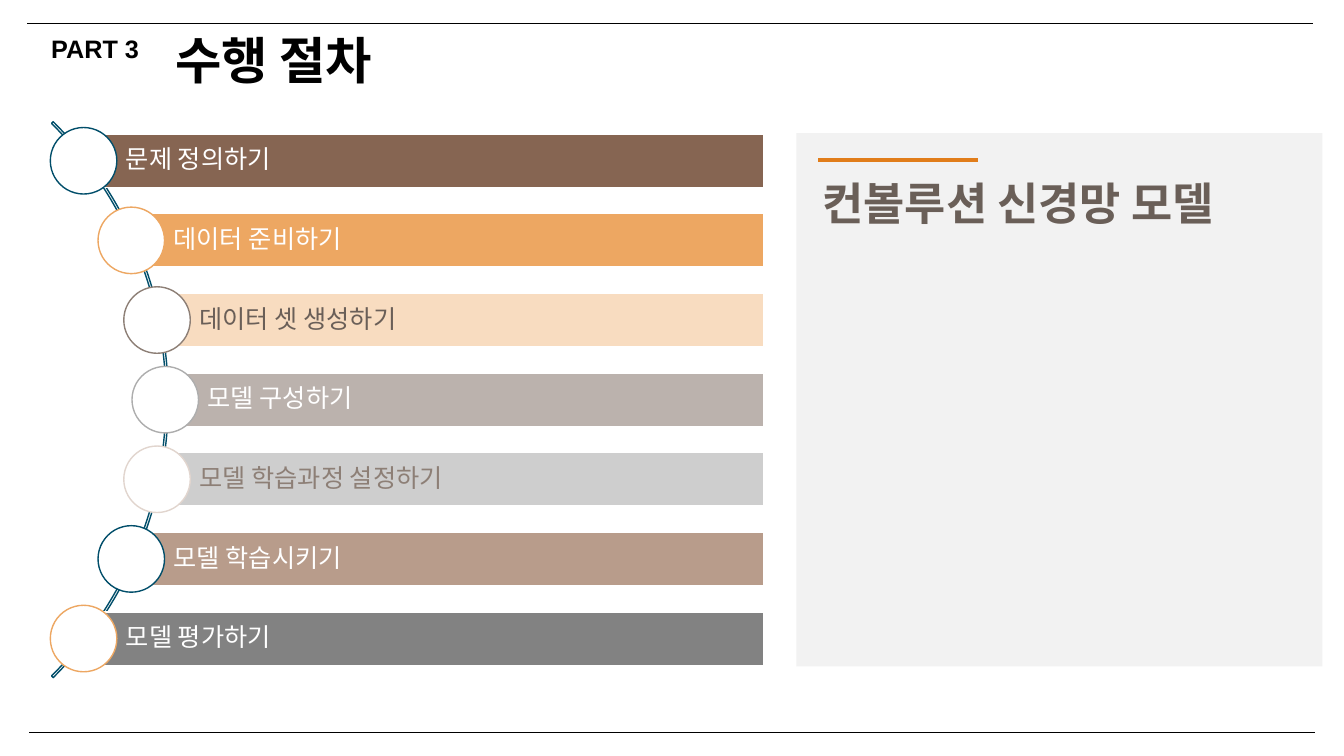
from dataclasses import dataclass
from math import sqrt

from lxml import etree
from pptx import Presentation
from pptx.dml.color import RGBColor
from pptx.enum.shapes import MSO_CONNECTOR, MSO_SHAPE
from pptx.enum.text import MSO_ANCHOR, MSO_AUTO_SIZE, PP_ALIGN
from pptx.oxml.ns import qn
from pptx.util import Pt

STRAIGHT = MSO_CONNECTOR.STRAIGHT
RECTANGLE, OVAL, ARC = MSO_SHAPE.RECTANGLE, MSO_SHAPE.OVAL, MSO_SHAPE.BLOCK_ARC
MIDDLE, TOP = MSO_ANCHOR.MIDDLE, MSO_ANCHOR.TOP
LEFT = PP_ALIGN.LEFT
GROW = MSO_AUTO_SIZE.SHAPE_TO_FIT_TEXT

LATIN, KOREAN = "Arial", "Noto Sans CJK KR"
COLORS = {
    "black": "000000", "white": "FFFFFF", "navy": "014E6A", "brown": "866552",
    "orange": "EDA762", "cream": "F8DCC0", "umber": "6A5F58", "taupe": "8D7F76",
    "stone": "BBB2AD", "silver": "ADADAD", "light_gray": "CECECE", "blush": "E1D5CE",
    "tan": "B89C8B", "gray": "828282", "panel": "F2F2F2", "accent": "E17D1A",
}

ARC_X, ARC_Y, ARC_SIZE = -160.56, 285.5, 561.6
STEP_RADIUS, STEP_PITCH = 278.64, 56.88
BAR_RIGHT, BAR_HEIGHT, CIRCLE_SIZE = 545.76, 38.16, 47.52


@dataclass
class Step:
    label: str
    fill: str
    ring: str
    ink: str = "white"


@dataclass
class Rule:
    left: float
    right: float
    y: float
    color: str = "black"
    width: float = 0.5


STEPS = [
    Step("문제 정의하기", "brown", "navy"),
    Step("데이터 준비하기", "orange", "orange"),
    Step("데이터 셋 생성하기", "cream", "taupe", "umber"),
    Step("모델 구성하기", "stone", "silver"),
    Step("모델 학습과정 설정하기", "light_gray", "blush", "taupe"),
    Step("모델 학습시키기", "tan", "navy"),
    Step("모델 평가하기", "gray", "orange"),
]
PAGE_RULES = [Rule(19.44, 938.16, 16.56), Rule(20.88, 939.6, 523.44)]
ACCENT_RULE = Rule(584.64, 698.4, 114.48, "accent", 3)


def color_of(name: str) -> RGBColor:
    return RGBColor.from_string(COLORS[name])


def write_text(frame, text: str, *, size: float, color: str, font: str = KOREAN,
               bold: bool = False, wrap: bool = True, anchor=TOP,
               line_spacing: float = 1.0) -> None:
    frame.word_wrap = wrap
    frame.vertical_anchor = anchor
    para = frame.paragraphs[0]
    para.alignment = LEFT
    para.line_spacing = line_spacing
    span = para.add_run()
    span.text = text
    span.font.size = Pt(size)
    span.font.bold = bold
    span.font.name = font
    span.font.color.rgb = color_of(color)
    east_asian = etree.SubElement(span.font._element, qn("a:ea"))
    east_asian.set("typeface", font)


def add_text(page, left: float, top: float, width: float, height: float,
             text: str, **text_format) -> None:
    box = page.shapes.add_textbox(Pt(left), Pt(top), Pt(width), Pt(height))
    write_text(box.text_frame, text, **text_format)
    box.text_frame.auto_size = GROW


def add_figure(page, kind, left: float, top: float, width: float, height: float,
               fill: str | None = None, line: str | None = None):
    figure = page.shapes.add_shape(kind, Pt(left), Pt(top), Pt(width), Pt(height))
    figure.shadow.inherit = False
    if fill:
        figure.fill.solid()
        figure.fill.fore_color.rgb = color_of(fill)
    else:
        figure.fill.background()
    if line:
        figure.line.color.rgb = color_of(line)
        figure.line.width = Pt(1)
    else:
        figure.line.fill.background()
    return figure


def add_rule(page, rule: Rule) -> None:
    connector = page.shapes.add_connector(
        STRAIGHT, Pt(rule.left), Pt(rule.y), Pt(rule.right), Pt(rule.y))
    connector.line.color.rgb = color_of(rule.color)
    connector.line.width = Pt(rule.width)
    etree.SubElement(connector._element.spPr, qn("a:effectLst"))


def add_arc(page) -> None:
    half = ARC_SIZE / 2
    arc = add_figure(page, ARC, ARC_X - half, ARC_Y - half, ARC_SIZE, ARC_SIZE, line="navy")
    for index, value in enumerate((189, 27, 0.003)):
        arc.adjustments[index] = value


def add_step(page, step: Step, offset: float) -> None:
    center_x = ARC_X + sqrt(STEP_RADIUS ** 2 - offset ** 2)
    center_y = ARC_Y + offset
    bar = add_figure(page, RECTANGLE, center_x, center_y - BAR_HEIGHT / 2,
                     BAR_RIGHT - center_x, BAR_HEIGHT, step.fill, "white")
    frame = bar.text_frame
    frame.margin_left = Pt(30.24)
    frame.margin_top = frame.margin_right = frame.margin_bottom = Pt(3.6)
    write_text(frame, step.label, size=18, color=step.ink, anchor=MIDDLE, line_spacing=0.9)
    add_figure(page, OVAL, center_x - CIRCLE_SIZE / 2, center_y - CIRCLE_SIZE / 2,
               CIRCLE_SIZE, CIRCLE_SIZE, "white", step.ring)


def main() -> None:
    deck = Presentation()
    deck.slide_width, deck.slide_height = Pt(960), Pt(540)
    page = deck.slides.add_slide(deck.slide_layouts[6])
    for rule in PAGE_RULES:
        add_rule(page, rule)
    add_text(page, 29.52, 20.16, 77.76, 28.8, "PART 3",
             size=18, color="black", font=LATIN, bold=True, wrap=False)
    add_text(page, 118.08, 17.28, 172.8, 51.12, "수행 절차",
             size=36, color="black", bold=True, wrap=False)
    add_arc(page)
    for index, step in enumerate(STEPS):
        add_step(page, step, (index - len(STEPS) // 2) * STEP_PITCH)
    add_figure(page, RECTANGLE, 568.8, 95.04, 375.84, 380.88, "panel")
    add_text(page, 580.32, 121.68, 365.76, 46.08, "컨볼루션 신경망 모델",
             size=32, color="umber", bold=True)
    add_rule(page, ACCENT_RULE)
    deck.save("out.pptx")


if __name__ == "__main__":
    main()
